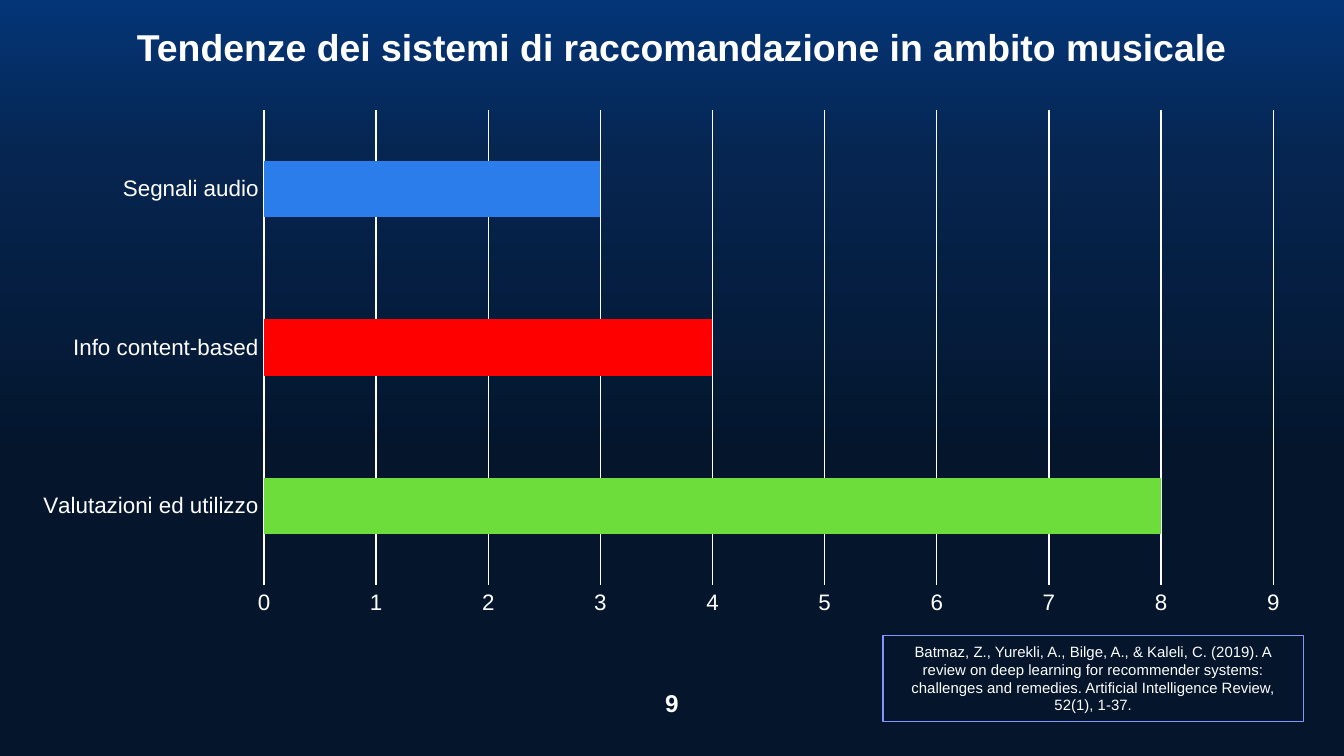
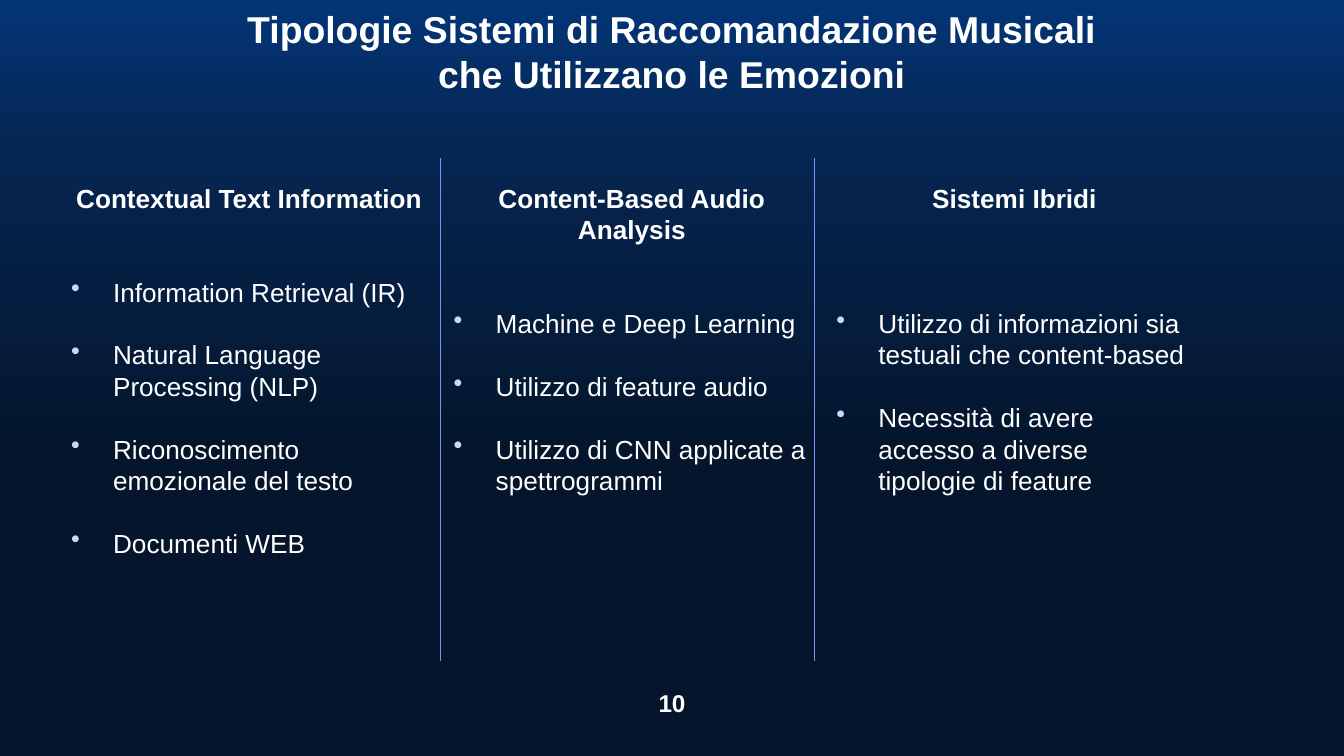
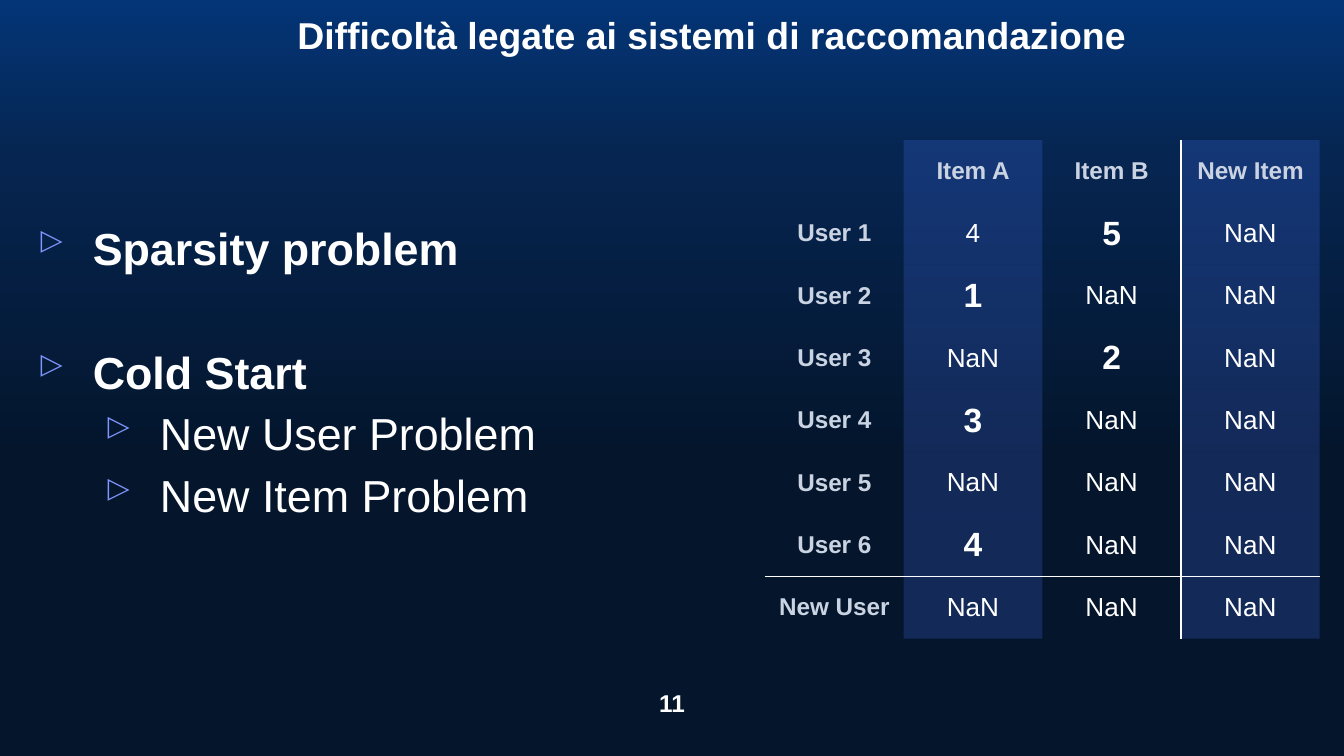
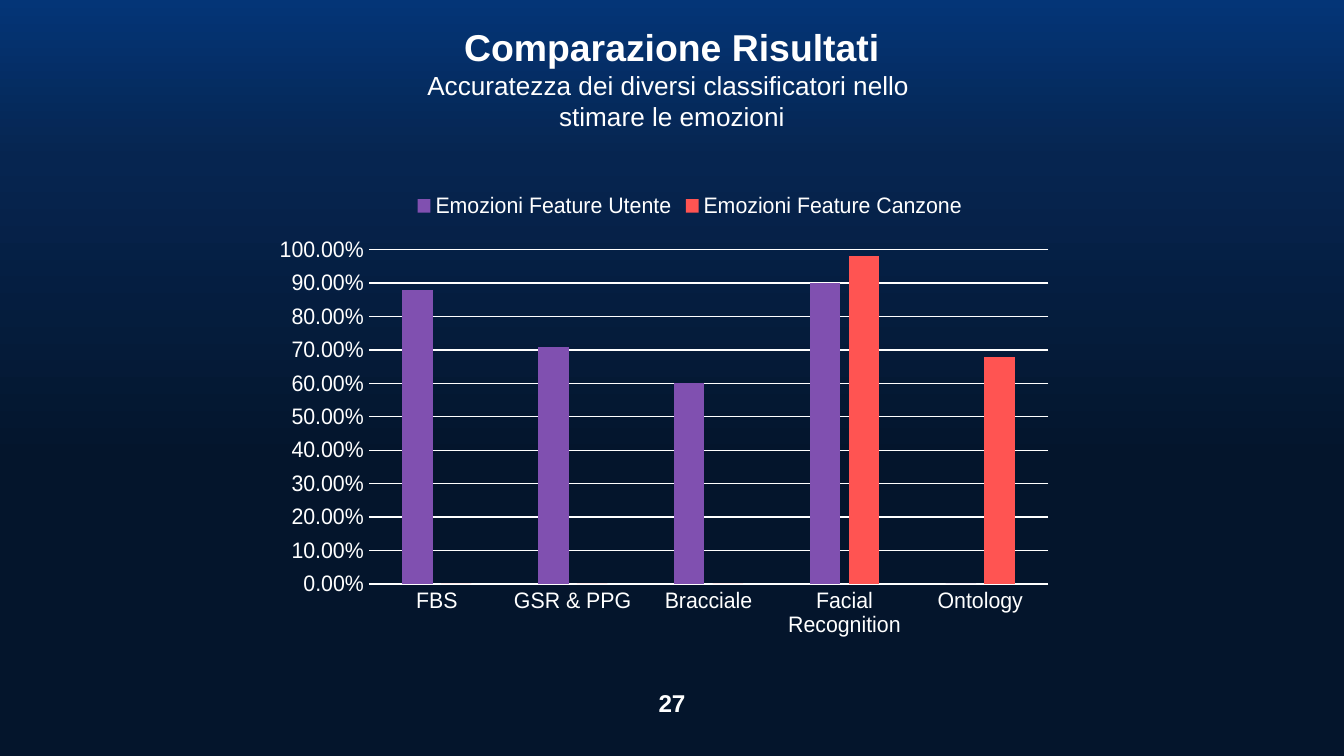
from pptx import Presentation
from pptx.chart.data import CategoryChartData
from pptx.dml.color import RGBColor
from pptx.enum import chart as ch, shapes, text
from pptx.oxml import parse_xml
from pptx.oxml.ns import nsdecls, qn
from pptx.oxml.xmlchemy import OxmlElement
from pptx.util import Pt

# ---- Shared look ----
FONT = "Arial"
COLORS = {
    "text": "FFFFFF", "header": "CAD3E2", "band": "4B77FF",
    "frame": "8097FF", "divider": "7A92FC", "dot": "CCD5FF",
    "usage": "6DDD3B", "content": "FF0000", "audio": "2B7DEC",
    "user": "8050B0", "song": "FF5452",
}
BACKGROUND = [(0, "043577"), (21, "062550"), (61, "04152C"), (100, "04152C")]
TITLE_SIZE, BODY_SIZE, AXIS_SIZE = 20, 14, 12
PAGE_BOX = (338.4, 347.8, 43.2, 57.6)
INSET = (7.2, 3.6)
NO_GRID_STYLE = "{2D5ABB26-0587-4C30-8999-92F81FD0307C}"

# ---- Content ----
TRENDS = {
    "title": "Tendenze dei sistemi di raccomandazione in ambito musicale",
    "bars": [("Valutazioni ed utilizzo", 8, "usage"),
             ("Info content-based", 4, "content"),
             ("Segnali audio", 3, "audio")],
    "citation": "Batmaz, Z., Yurekli, A., Bilge, A., & Kaleli, C. (2019). "
                "A review on deep learning for recommender systems: challenges "
                "and remedies. Artificial Intelligence Review, 52(1), 1-37.",
}
TYPES_TITLE = ("Tipologie Sistemi di Raccomandazione Musicali "
               "che Utilizzano le Emozioni")
# heading, blank lines' worth of space below it, box height, items
TYPES = [
    ("Contextual Text Information", 2, 211,
     ["Information Retrieval (IR)", "Natural Language Processing (NLP)",
      "Riconoscimento emozionale del testo", "Documenti WEB"]),
    ("Content-Based Audio Analysis", 2, 177,
     ["Machine e Deep Learning", "Utilizzo di feature audio",
      "Utilizzo di CNN applicate a spettrogrammi"]),
    ("Sistemi Ibridi", 3, 227.5,
     ["Utilizzo di informazioni sia testuali che content-based",
      "Necessità di avere accesso a diverse tipologie di feature"]),
]
ISSUES_TITLE = "Difficoltà legate ai sistemi di raccomandazione"
ISSUES = [("Sparsity problem", []),
          ("Cold Start", ["New User Problem", "New Item Problem"])]
RATINGS = [
    ["", "Item A", "Item B", "New Item"],
    ["User 1", "4", "5", "NaN"],
    ["User 2", "1", "NaN", "NaN"],
    ["User 3", "NaN", "2", "NaN"],
    ["User 4", "3", "NaN", "NaN"],
    ["User 5", "NaN", "NaN", "NaN"],
    ["User 6", "4", "NaN", "NaN"],
    ["New User", "NaN", "NaN", "NaN"],
]
PLAIN_RATING = (1, 1)
RESULTS_TITLE = "Comparazione Risultati"
RESULTS_SUBTITLE = ["Accuratezza dei diversi classificatori nello ",
                    "stimare le emozioni"]
CLASSIFIERS = ["FBS", "GSR & PPG", "Bracciale", "Facial Recognition", "Ontology"]
ACCURACY = [("Emozioni Feature Utente", (0.88, 0.71, 0.6, 0.9, 0), "user"),
            ("Emozioni Feature Canzone", (0, 0, 0, 0.98, 0.68), "song")]


# ---- Helpers ----
def rgb(name):
    return RGBColor.from_string(COLORS[name])


def points(box):
    return [Pt(v) for v in box]


def style_font(font, size, bold=False, color="text"):
    font.name, font.size, font.bold = FONT, Pt(size), bold
    font.color.rgb = rgb(color)


def set_bullet(paragraph, char, color, margin, hanging):
    props = paragraph._p.get_or_add_pPr()
    props.set("marL", str(Pt(margin)))
    props.set("indent", str(-Pt(hanging)))
    props.append(parse_xml(f'<a:buClr {nsdecls("a")}>'
                           f'<a:srgbClr val="{COLORS[color]}"/></a:buClr>'))
    props.append(parse_xml(f'<a:buChar {nsdecls("a")} char="{char}"/>'))


def write(frame, lines, size=BODY_SIZE, align="CENTER", anchor="TOP",
          inset=INSET, spacing=None):
    """Each line is a dict: t, and if needed size, bold, color, before, after, bullet."""
    frame.word_wrap = True
    frame.vertical_anchor = getattr(text.MSO_ANCHOR, anchor)
    frame.margin_left = frame.margin_right = Pt(inset[0])
    frame.margin_top = frame.margin_bottom = Pt(inset[1])
    for i, line in enumerate(lines):
        p = frame.add_paragraph() if i else frame.paragraphs[0]
        p.alignment = getattr(text.PP_ALIGN, "LEFT" if "bullet" in line else align)
        if spacing:
            p.line_spacing = spacing
        p.space_before, p.space_after = Pt(line.get("before", 0)), Pt(line.get("after", 0))
        if "bullet" in line:
            set_bullet(p, *line["bullet"])
        run = p.add_run()
        run.text = line["t"]
        style_font(run.font, line.get("size", size), line.get("bold", False),
                   line.get("color", "text"))


def add_text(slide, box, lines, **options):
    write(slide.shapes.add_textbox(*points(box)).text_frame, lines, **options)


def title_line(title):
    return {"t": title, "size": TITLE_SIZE, "bold": True}


def add_title(slide, box, title):
    add_text(slide, box, [title_line(title)], anchor="BOTTOM", inset=(0, 0), spacing=0.9)


def new_slide(deck, page):
    slide = deck.slides.add_slide(deck.slide_layouts[6])
    fill = slide.background.fill
    fill.gradient()
    fill.gradient_angle = 270
    stops = slide.background._cSld.find(".//" + qn("a:gsLst"))
    for stop in list(stops):
        stops.remove(stop)
    for position, color in BACKGROUND:
        stops.append(parse_xml(f'<a:gs {nsdecls("a")} pos="{position * 1000}">'
                               f'<a:srgbClr val="{color}"/></a:gs>'))
    add_text(slide, PAGE_BOX, [{"t": str(page), "size": 13, "bold": True}],
             anchor="MIDDLE", inset=(0, 0))
    return slide


def add_bar_chart(slide, box, kind, categories, series, gap):
    data = CategoryChartData()
    data.categories = categories
    for name, values in series:
        data.add_series(name, values)
    chart = slide.shapes.add_chart(kind, *points(box), data).chart
    chart.has_title = chart.has_legend = False
    style_font(chart.font, 10)
    for axis in (chart.category_axis, chart.value_axis):
        axis.major_tick_mark = axis.minor_tick_mark = ch.XL_TICK_MARK.NONE
        style_font(axis.tick_labels.font, AXIS_SIZE)
    chart.value_axis.has_major_gridlines = True
    chart.value_axis.format.line.fill.background()
    for line in (chart.category_axis.format.line,
                 chart.value_axis.major_gridlines.format.line):
        line.color.rgb, line.width = rgb("text"), Pt(0.75)
    plot = chart.plots[0]
    plot.gap_width, plot.vary_by_categories = gap, False
    return chart


def paint(part, color):
    part.format.fill.solid()
    part.format.fill.fore_color.rgb = rgb(color)


def set_plot_area(chart, x, y, w, h):
    area = chart.element.find(".//" + qn("c:plotArea"))
    for old in area.findall(qn("c:layout")):
        area.remove(old)
    sizes = "".join(f'<c:{tag} val="{value}"/>'
                    for tag, value in zip("xywh", (x, y, w, h)))
    area.insert(0, parse_xml(
        f'<c:layout {nsdecls("c")}><c:manualLayout><c:layoutTarget val="inner"/>'
        f'<c:xMode val="edge"/><c:yMode val="edge"/>{sizes}'
        f'</c:manualLayout></c:layout>'))


def set_borders(cell, sides):
    props = cell._tc.get_or_add_tcPr()
    for i, side in enumerate(s for s in "LRTB" if s in sides):
        props.insert(i, parse_xml(
            f'<a:ln{side} {nsdecls("a")} w="{Pt(1)}"><a:solidFill>'
            f'<a:srgbClr val="{COLORS["text"]}"/></a:solidFill></a:ln{side}>'))


# ---- Slides ----
def trends_slide(deck):
    slide = new_slide(deck, 9)
    add_title(slide, (52.6, 6.5, 625.7, 31), TRENDS["title"])
    citation = slide.shapes.add_shape(shapes.MSO_SHAPE.RECTANGLE,
                                      *points((473, 340.6, 225.4, 46)))
    citation.shadow.inherit = False
    citation.fill.background()
    citation.line.color.rgb, citation.line.width = rgb("frame"), Pt(0.75)
    write(citation.text_frame, [{"t": TRENDS["citation"]}], size=8)

    labels, values, colors = zip(*TRENDS["bars"])
    chart = add_bar_chart(slide, (9.4, 53.3, 689.8, 281.5), ch.XL_CHART_TYPE.BAR_CLUSTERED,
                          labels, [("Series 1", values)], 182)
    for i, color in enumerate(colors):
        paint(chart.plots[0].series[0].points[i], color)


def types_slide(deck):
    slide = new_slide(deck, 10)
    add_text(slide, (118, 0, 484, 55.4), [title_line(TYPES_TITLE)])
    left, top, width, blank_line = 31, 94, 205, 16.8
    for i, (heading, gap, height, items) in enumerate(TYPES):
        lines = [{"t": heading, "bold": True, "after": gap * blank_line}]
        lines += [{"t": item, "bullet": ("•", "dot", 22.5, 22.5),
                   "after": blank_line if item != items[-1] else 0} for item in items]
        add_text(slide, (left + i * width, top, width, height), lines)
    for x in (236, 436.2):
        divider = slide.shapes.add_connector(shapes.MSO_CONNECTOR.STRAIGHT,
                                             *points((x, 84.4, x, 354)))
        divider.line.color.rgb, divider.line.width = rgb("divider"), Pt(0.75)
        divider._element.spPr.append(OxmlElement("a:effectLst"))


def issues_slide(deck):
    slide = new_slide(deck, 11)
    add_title(slide, (119.5, 0, 524, 31), ISSUES_TITLE)
    lines = []
    for issue, variants in ISSUES:
        lines.append({"t": issue, "bold": True, "before": 33.2 if lines else 0,
                      "bullet": ("▹", "frame", 36, 30)})
        lines += [{"t": v, "bullet": ("▹", "frame", 72, 30)} for v in variants]
    add_text(slide, (13.7, 113.8, 309, 234), lines, size=24, inset=(0, 0), spacing=1.15)

    # Ratings grid: banded item columns, rules before the new item and new user
    rows, cols = len(RATINGS), len(RATINGS[0])
    grid = slide.shapes.add_table(rows, cols, *points((409.8, 75, 297.2, 267.2))).table
    grid.first_row = grid.horz_banding = False
    grid._tbl.tblPr.find(qn("a:tableStyleId")).text = NO_GRID_STYLE
    for row in grid.rows:
        row.height = Pt(33.4)
    for col in grid.columns:
        col.width = Pt(74.3)
    for r, record in enumerate(RATINGS):
        for c, value in enumerate(record):
            cell = grid.cell(r, c)
            cell.vertical_anchor = text.MSO_ANCHOR.MIDDLE
            cell.margin_left = cell.margin_right = Pt(7.2)
            cell.margin_top = cell.margin_bottom = Pt(5)
            if value:
                p = cell.text_frame.paragraphs[0]
                p.alignment = text.PP_ALIGN.CENTER
                run = p.add_run()
                run.text = value
                if r == 0 or c == 0:
                    style_font(run.font, 13, True, "header")
                elif value.isdigit() and (r, c) != PLAIN_RATING:
                    style_font(run.font, 18, True)
                else:
                    style_font(run.font, BODY_SIZE)
            if c % 2:
                cell.fill.solid()
                cell.fill.fore_color.rgb = rgb("band")
                tint = cell._tc.tcPr.find(".//" + qn("a:srgbClr"))
                tint.append(parse_xml(f'<a:alpha {nsdecls("a")} val="21000"/>'))
            else:
                cell.fill.background()
            set_borders(cell, {cols - 2: "R", cols - 1: "L"}.get(c, "")
                        + {rows - 2: "B", rows - 1: "T"}.get(r, ""))


def results_slide(deck):
    slide = new_slide(deck, 27)
    add_text(slide, (180, 9.4, 360, 65.5),
             [title_line(RESULTS_TITLE)] + [{"t": line} for line in RESULTS_SUBTITLE])
    chart = add_bar_chart(slide, (149.8, 95.8, 419.8, 271.4),
                          ch.XL_CHART_TYPE.COLUMN_CLUSTERED, CLASSIFIERS,
                          [(name, values) for name, values, _ in ACCURACY], 219)
    chart.plots[0].overlap = -27
    for series, (_, _, color) in zip(chart.plots[0].series, ACCURACY):
        paint(series, color)
    chart.value_axis.maximum_scale = 1
    chart.value_axis.tick_labels.number_format = "0.00%"
    chart.value_axis.tick_labels.number_format_is_linked = False
    chart.has_legend = True
    chart.legend.position = ch.XL_LEGEND_POSITION.TOP
    chart.legend.include_in_layout = False
    style_font(chart.legend.font, AXIS_SIZE)
    set_plot_area(chart, 0.07, 0.14, 0.91, 0.66)


def main():
    deck = Presentation()
    deck.slide_width, deck.slide_height = Pt(720), Pt(405)
    for build in (trends_slide, types_slide, issues_slide, results_slide):
        build(deck)
    deck.save("out.pptx")


if __name__ == "__main__":
    main()
